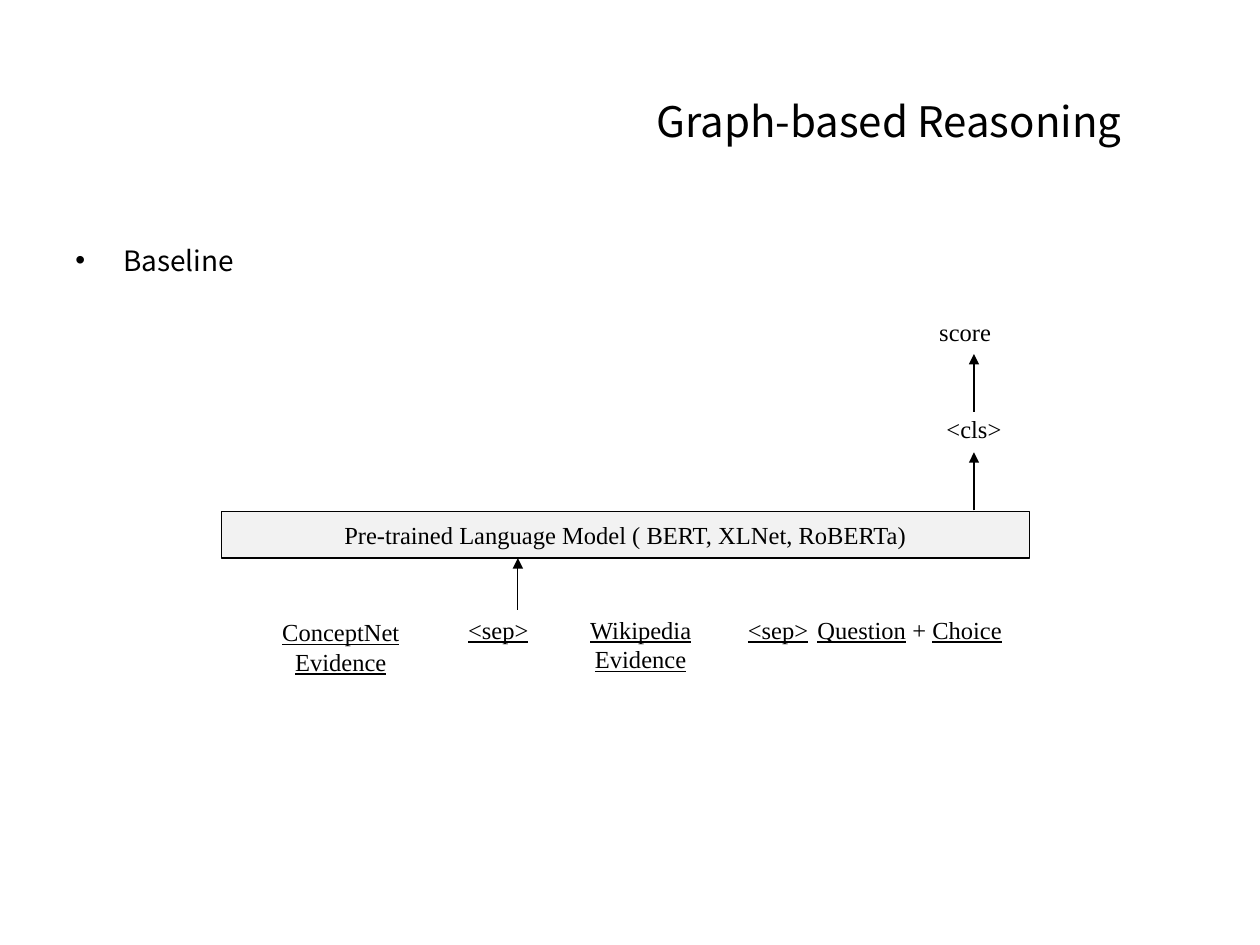
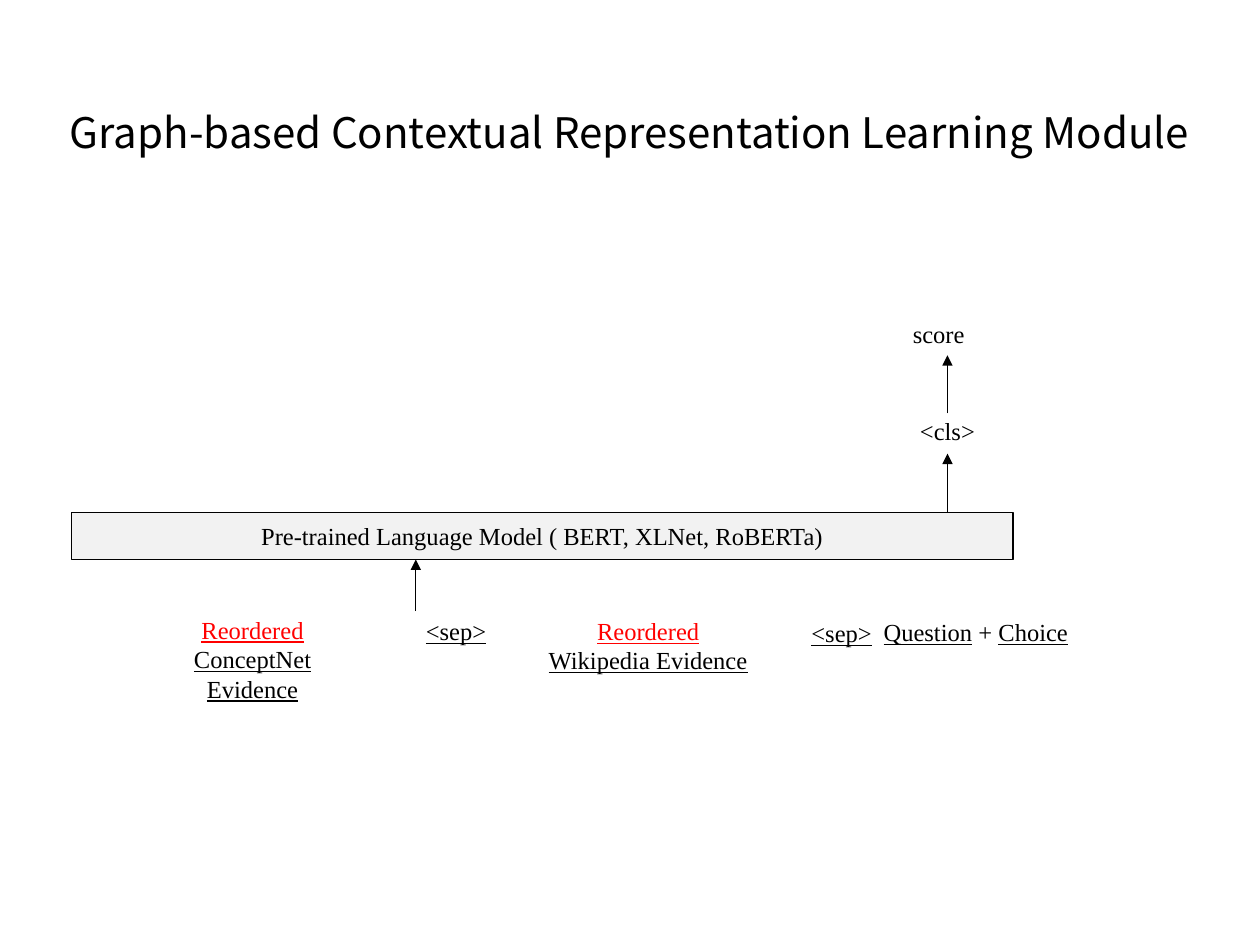
from lxml.etree import SubElement
from pptx import Presentation
from pptx.dml.color import RGBColor
from pptx.enum.shapes import MSO_CONNECTOR, MSO_SHAPE
from pptx.enum.text import MSO_ANCHOR, MSO_AUTO_SIZE, PP_ALIGN
from pptx.oxml.ns import qn
from pptx.util import Inches, Pt

COLORS = {"ink": "000000", "accent": "FF0000", "bar": "F2F2F2"}
SANS, SERIF = "Noto Sans CJK SC", "Times New Roman"
BAR_HEIGHT, LABEL_HEIGHT = 0.37, 0.4


def color(name):
    return RGBColor.from_string(COLORS[name])


def underlined(text, ink="ink"):
    return text, True, ink


def plain(text):
    return text, False, "ink"


SEPARATOR = [underlined("<sep>")]
ANSWER = [underlined("Question"), plain(" + "), underlined("Choice")]


class Deck:
    """Holds the shared style, the current slide and its diagram group."""

    def __init__(self):
        self.presentation = Presentation()
        self.presentation.slide_width = Inches(10)
        self.presentation.slide_height = Inches(7.5)

    def add_slide(self, title, left, top, width):
        layout = self.presentation.slide_layouts.get_by_name("Title Only")
        self.slide = self.presentation.slides.add_slide(layout)
        shape = self.slide.shapes.title
        shape.left, shape.top = Inches(left), Inches(top)
        shape.width, shape.height = Inches(width), Inches(0.71)
        shape.text_frame.auto_size = MSO_AUTO_SIZE.NONE
        shape.text_frame.vertical_anchor = MSO_ANCHOR.MIDDLE
        self.add_runs(shape, [plain(title)], 24, SANS)

    def start_group(self):
        self.group = self.slide.shapes.add_group_shape()

    def add_runs(self, shape, runs, size=14, font=SERIF, align=PP_ALIGN.CENTER):
        paragraph = shape.text_frame.paragraphs[0]
        paragraph.alignment = align
        for text, underline, ink in runs:
            run = paragraph.add_run()
            run.text = text
            run.font.name, run.font.size = font, Pt(size)
            run.font.color.rgb = color(ink)
            if underline:
                run.font.underline = True

    def bullet(self, text, left, top, width):
        shape = self.slide.shapes.add_textbox(
            Inches(left), Inches(top), Inches(width), Inches(LABEL_HEIGHT))
        shape.text_frame.word_wrap = True
        paragraph = shape.text_frame.paragraphs[0]
        paragraph.line_spacing = 1.5
        properties = paragraph._p.get_or_add_pPr()
        properties.set("marL", str(Inches(0.38)))
        properties.set("indent", str(-Inches(0.38)))
        SubElement(properties, qn("a:buFont"), typeface="Arial")
        SubElement(properties, qn("a:buChar"), char="•")
        self.add_runs(shape, [plain(text)], 16, SANS, PP_ALIGN.LEFT)

    def label(self, runs, left, top, width, wrap=False):
        shape = self.group.shapes.add_textbox(
            Inches(left), Inches(top), Inches(width), Inches(LABEL_HEIGHT))
        shape.text_frame.word_wrap = wrap
        self.add_runs(shape, runs)

    def bar(self, text, left, top, width):
        shape = self.group.shapes.add_shape(
            MSO_SHAPE.RECTANGLE, Inches(left), Inches(top),
            Inches(width), Inches(BAR_HEIGHT))
        shape.shadow.inherit = False
        shape.fill.solid()
        shape.fill.fore_color.rgb = color("bar")
        shape.line.color.rgb = color("ink")
        shape.line.width = Pt(0.75)
        shape.text_frame.vertical_anchor = MSO_ANCHOR.MIDDLE
        self.add_runs(shape, [plain(text)])

    def up_arrow(self, x, start, end):
        connector = self.group.shapes.add_connector(
            MSO_CONNECTOR.STRAIGHT, Inches(x), Inches(start), Inches(x), Inches(end))
        connector.line.color.rgb = color("ink")
        connector.line.width = Pt(0.75)
        properties = connector._element.spPr
        SubElement(properties.find(qn("a:ln")), qn("a:tailEnd"), type="triangle")
        SubElement(properties, qn("a:effectLst"))

    def model_diagram(self, left, top, width, input_x, output_x, label_width, tokens):
        """Input tokens feed the model bar, which leads up to the score."""
        self.start_group()
        self.bar("Pre-trained Language Model ( BERT, XLNet, RoBERTa)", left, top, width)
        # Input below the bar
        self.up_arrow(input_x, top + 0.78, top + BAR_HEIGHT)
        for runs, token_left, token_top, token_width in tokens:
            self.label(runs, token_left, token_top, token_width)
        # Output above the bar
        label_left = output_x - label_width / 2
        for text, shift, rise in (("<cls>", 0, 0.82), ("score", -0.07, 1.59)):
            self.label([plain(text)], label_left + shift, top - rise, label_width, True)
        for rise in (0.01, 0.79):
            self.up_arrow(output_x, top - rise, top - rise - 0.46)


def main():
    deck = Deck()

    # Slide 1: baseline
    deck.add_slide("Graph-based Reasoning", 4.85, 0.6, 4.41)
    deck.bullet("Baseline", 0.5, 1.75, 9)
    deck.model_diagram(1.76, 4.06, 6.41, 4.11, 7.73, 2.28, [
        ([underlined("ConceptNet Evidence")], 1.92, 4.85, 1.57),
        (SEPARATOR, 3.47, 4.83, 0.97),
        ([underlined("Wikipedia Evidence")], 4.3, 4.83, 1.57),
        (SEPARATOR, 5.69, 4.83, 0.97),
        (ANSWER, 6.05, 4.83, 2.34),
    ])

    # Slide 2: reordered evidence
    reordered = underlined("Reordered", "accent")
    deck.add_slide("Graph-based Contextual Representation Learning Module",
                   0.25, 0.69, 9.49)
    deck.model_diagram(0.57, 4.07, 7.47, 3.3, 7.52, 2.66, [
        ([reordered, underlined(" ConceptNet Evidence")], 1.09, 4.83, 1.83),
        (SEPARATOR, 3.05, 4.84, 1.14),
        ([reordered, underlined(" Wikipedia Evidence")], 4.23, 4.84, 1.83),
        (SEPARATOR, 6.11, 4.86, 1.14),
        (ANSWER, 6.38, 4.85, 2.73),
    ])

    deck.presentation.save("out.pptx")


if __name__ == "__main__":
    main()
